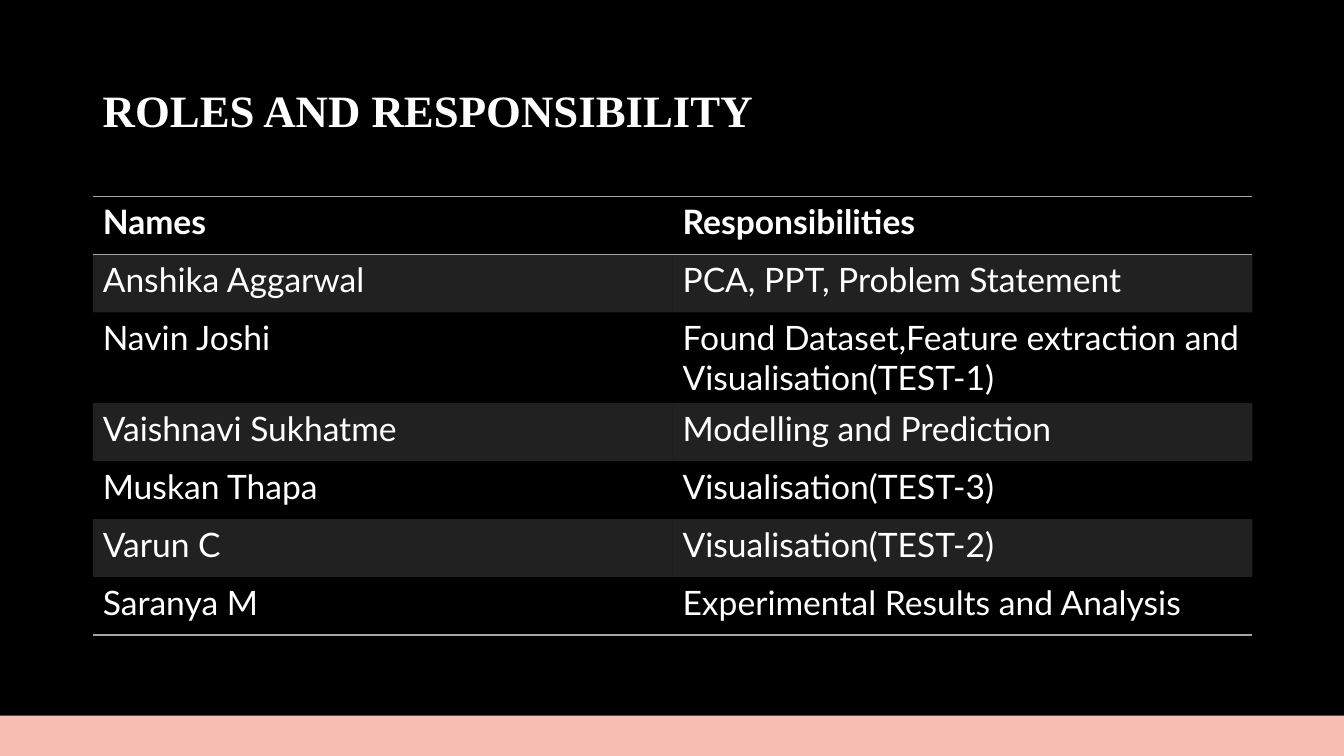
from dataclasses import dataclass

from lxml.etree import SubElement
from pptx import Presentation
from pptx.dml.color import RGBColor
from pptx.enum.shapes import MSO_SHAPE
from pptx.enum.text import MSO_ANCHOR
from pptx.oxml.ns import qn
from pptx.util import Inches, Pt


@dataclass(frozen=True)
class Theme:
    back: str = "000000"
    ink: str = "FFFFFF"
    grey: str = "A5A5A5"
    pink: str = "F7BDB2"
    head: str = "Times New Roman"
    body: str = "Lato"
    big: int = 32
    text: int = 24
    rule: int = 1
    tint: int = 20


THEME = Theme()
PLAIN = "{2D5ABB26-0587-4C30-8999-92F81FD0307C}"
ROLES = [
    ("Names", "Responsibilities"),
    ("Anshika Aggarwal", "PCA, PPT, Problem Statement"),
    ("Navin Joshi", "Found Dataset,Feature extraction and Visualisation(TEST-1)"),
    ("Vaishnavi Sukhatme", "Modelling and Prediction"),
    ("Muskan Thapa", "Visualisation(TEST-3)"),
    ("Varun C", "Visualisation(TEST-2)"),
    ("Saranya M", "Experimental Results and Analysis"),
]
TALL = 2  # row whose text takes two lines
TALL_SIZE = 0.9


def paint(fill, color):
    fill.solid()
    fill.fore_color.rgb = RGBColor.from_string(color)


def write(frame, text, size=THEME.text, font=THEME.body, bold=False, space=None):
    para = frame.paragraphs[0]
    para.line_spacing = space
    run = para.add_run()
    run.text = text
    run.font.size = Pt(size)
    run.font.name = font
    run.font.bold = bold
    run.font.color.rgb = RGBColor.from_string(THEME.ink)


def add_title(slide, box, text):
    frame = slide.shapes.add_textbox(*map(Inches, box)).text_frame
    frame.word_wrap = True
    frame.vertical_anchor = MSO_ANCHOR.MIDDLE
    write(frame, text, size=THEME.big, font=THEME.head, bold=True, space=0.9)


def add_rule(cell, side):
    """Draw a cell border; side is lnT or lnB. Call before filling the cell."""
    props = cell._tc.get_or_add_tcPr()
    line = SubElement(props, qn(f"a:{side}"), w=str(Pt(THEME.rule)))
    solid = SubElement(line, qn("a:solidFill"))
    SubElement(solid, qn("a:srgbClr"), val=THEME.grey)


def shade(cell):
    """Fill a cell with the translucent band colour."""
    paint(cell.fill, THEME.grey)
    color = next(cell._tc.tcPr.find(qn("a:solidFill")).iterchildren())
    SubElement(color, qn("a:alpha"), val=str(THEME.tint * 1000))


def add_roles(slide, box, data):
    wide, high = box[2:]
    last = len(data) - 1
    frame = slide.shapes.add_table(len(data), len(data[0]), *map(Inches, box))
    table = frame.table
    table.horz_banding = False
    frame.element.find(f".//{qn('a:tableStyleId')}").text = PLAIN
    for col in table.columns:
        col.width = Inches(wide / len(data[0]))
    for i, (row, texts) in enumerate(zip(table.rows, data)):
        size = TALL_SIZE if i == TALL else (high - TALL_SIZE) / last
        row.height = Inches(size)
        for cell, text in zip(row.cells, texts):
            write(cell.text_frame, text, bold=i == 0)
            if i == 0:
                add_rule(cell, "lnT")
            if i in (0, last):
                add_rule(cell, "lnB")
            if i % 2:
                shade(cell)
            else:
                cell.fill.background()


def add_strip(slide, box):
    strip = slide.shapes.add_shape(MSO_SHAPE.RECTANGLE, *map(Inches, box))
    strip.shadow.inherit = False
    paint(strip.fill, THEME.pink)
    strip.line.fill.background()


def main():
    deck = Presentation()
    deck.slide_width, deck.slide_height = Inches(13.33), Inches(7.5)
    slide = deck.slides.add_slide(deck.slide_layouts[6])
    paint(slide.background.fill, THEME.back)
    add_title(slide, (0.92, 0.4, 11.5, 1.45), "ROLES AND RESPONSIBILITY")
    add_roles(slide, (0.92, 1.95, 11.5, 4.35), ROLES)
    add_strip(slide, (0, 7.1, 13.33, 0.4))
    deck.save("out.pptx")


if __name__ == "__main__":
    main()
